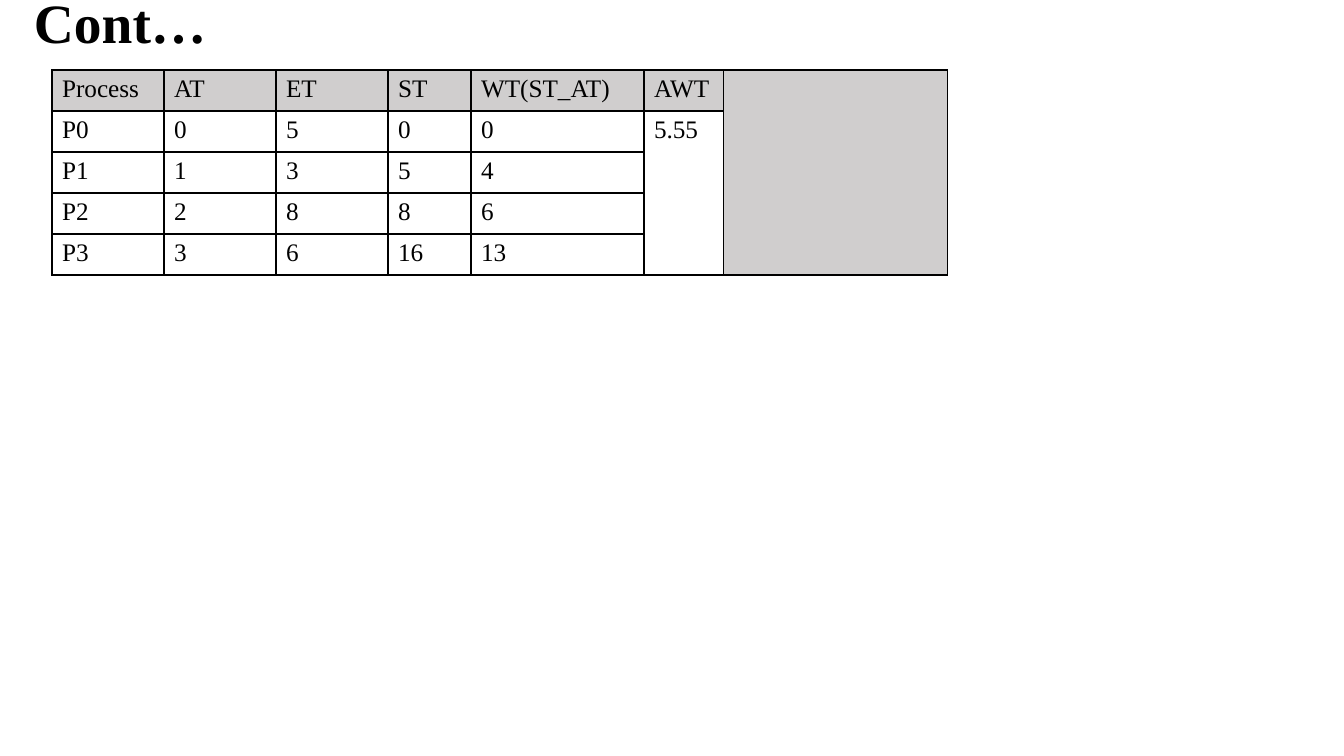
import pptx
import pptx.util
import pptx.dml.color
import pptx.enum.text
import pptx.oxml
import pptx.oxml.ns
import lxml.etree

PX = 914400 / 100.8
THEME = {
    "font": "Times New Roman",
    "ink": pptx.dml.color.RGBColor.from_string("000000"),
    "shade": pptx.dml.color.RGBColor.from_string("D0CECE"),
    "title_size": pptx.util.Pt(39.6),
    "cell_size": pptx.util.Pt(18),
    "border": pptx.util.Pt(1),
}


def px(length):
    return pptx.util.Emu(round(length * PX))


def add_span(para, text, size, bold=False):
    span = para.add_run()
    span.text = text
    span.font.name = THEME["font"]
    span.font.size = size
    span.font.bold = bold
    span.font.color.rgb = THEME["ink"]


deck = pptx.Presentation()
deck.slide_width = px(1344)
deck.slide_height = px(756)
page = deck.slides.add_slide(deck.slide_layouts[6])

title_box = page.shapes.add_textbox(px(24), px(0), px(1159), px(52))
title_box.text_frame.word_wrap = True
title_box.text_frame.vertical_anchor = pptx.enum.text.MSO_ANCHOR.MIDDLE
title_para = title_box.text_frame.paragraphs[0]
title_para.line_spacing = 0.9
add_span(title_para, "Cont…", THEME["title_size"], bold=True)

schedule = [
    ["Process", "AT", "ET", "ST", "WT(ST_AT)", "AWT", ""],
    ["P0", "0", "5", "0", "0", "5.55", ""],
    ["P1", "1", "3", "5", "4", "", ""],
    ["P2", "2", "8", "8", "6", "", ""],
    ["P3", "3", "6", "16", "13", "", ""],
]
column_widths = [112, 112, 112, 83, 173, 80, 224]
row_height = 41

table = page.shapes.add_table(
    len(schedule), len(column_widths), px(52), px(70),
    px(sum(column_widths)), px(row_height * len(schedule)),
).table
table.first_row = False
table.horz_banding = False
for column, width in zip(table.columns, column_widths):
    column.width = px(width)

for row_index, values in enumerate(schedule):
    table.rows[row_index].height = px(row_height)
    for column_index, text in enumerate(values):
        cell = table.cell(row_index, column_index)
        para = cell.text_frame.paragraphs[0]
        para.font.size = THEME["cell_size"]
        if text:
            add_span(para, text, THEME["cell_size"])
        properties = cell._tc.get_or_add_tcPr()
        for side in ("a:lnL", "a:lnR", "a:lnT", "a:lnB"):
            line = lxml.etree.SubElement(
                properties, pptx.oxml.ns.qn(side), w=str(THEME["border"]))
            fill = lxml.etree.SubElement(line, pptx.oxml.ns.qn("a:solidFill"))
            lxml.etree.SubElement(
                fill, pptx.oxml.ns.qn("a:srgbClr"), val=str(THEME["ink"]))
        if row_index == 0 or column_index == len(values) - 1:
            cell.fill.solid()
            cell.fill.fore_color.rgb = THEME["shade"]
        else:
            cell.fill.background()

table.cell(1, 5).merge(table.cell(4, 5))
table.cell(0, 6).merge(table.cell(4, 6))

deck.save("out.pptx")
